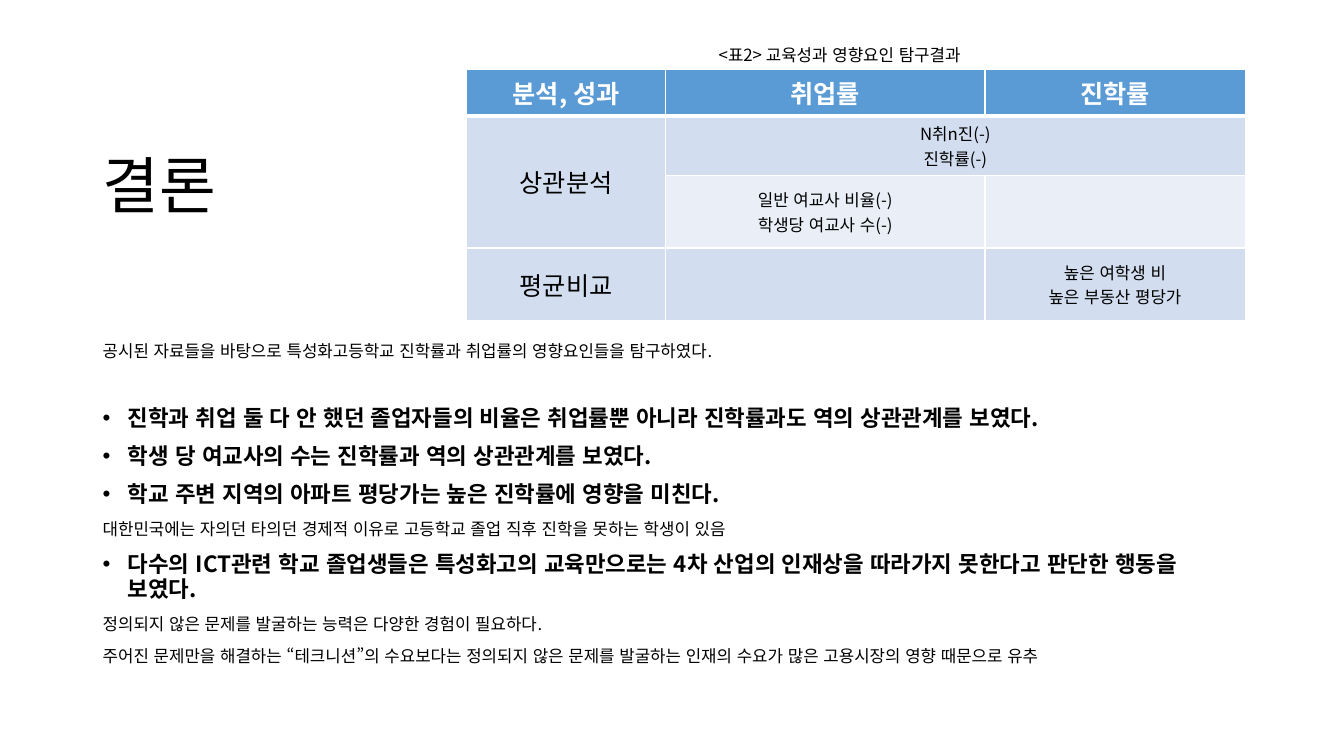
import pptx
import pptx.dml.color
import pptx.enum.lang
import pptx.enum.text
import pptx.oxml.ns
import pptx.util
from lxml import etree

Inches = pptx.util.Inches
Pt = pptx.util.Pt
RGBColor = pptx.dml.color.RGBColor
ALIGN = pptx.enum.text.PP_ALIGN
ANCHOR = pptx.enum.text.MSO_ANCHOR
KOREAN = pptx.enum.lang.MSO_LANGUAGE_ID.KOREAN
qn = pptx.oxml.ns.qn

FONT = "Noto Sans CJK KR"
BLACK = RGBColor(0x00, 0x00, 0x00)
WHITE = RGBColor(0xFF, 0xFF, 0xFF)
HEADER = RGBColor(0x5B, 0x9B, 0xD5)
BAND = RGBColor(0xD2, 0xDE, 0xEF)
PALE = RGBColor(0xEA, 0xEF, 0xF7)

COLUMNS = [1.97, 3.17, 2.58]
ROWS = [0.46, 0.59, 0.72, 0.72]
HEADINGS = ["분석, 성과", "취업률", "진학률"]
# (row, column): lines, size
FINDINGS = {
    (1, 0): (["상관분석"], 18),
    (1, 1): (["N취n진(-)", "진학률(-)"], 12),
    (2, 1): (["일반 여교사 비율(-)", "학생당 여교사 수(-)"], 12),
    (3, 0): (["평균비교"], 18),
    (3, 2): (["높은 여학생 비", "높은 부동산 평당가"], 12),
}
# text, is a bulleted key point, space before
CONCLUSIONS = [
    ("공시된 자료들을 바탕으로 특성화고등학교 진학률과 취업률의 영향요인들을 탐구하였다.", False, 10),
    ("진학과 취업 둘 다 안 했던 졸업자들의 비율은 취업률뿐 아니라 진학률과도 역의 상관관계를 보였다.", True, 33),
    ("학생 당 여교사의 수는 진학률과 역의 상관관계를 보였다.", True, 10),
    ("학교 주변 지역의 아파트 평당가는 높은 진학률에 영향을 미친다.", True, 10),
    ("대한민국에는 자의던 타의던 경제적 이유로 고등학교 졸업 직후 진학을 못하는 학생이 있음", False, 10),
    ("다수의 ICT관련 학교 졸업생들은 특성화고의 교육만으로는 4차 산업의 인재상을 따라가지 못한다고 "
     "판단한 행동을 보였다.", True, 10),
    ("정의되지 않은 문제를 발굴하는 능력은 다양한 경험이 필요하다.", False, 10),
    ("주어진 문제만을 해결하는 “테크니션”의 수요보다는 정의되지 않은 문제를 발굴하는 인재의 수요가 "
     "많은 고용시장의 영향 때문으로 유추", False, 10),
]


def write(p, text, size=12, bold=False, color=BLACK, align=ALIGN.LEFT,
          line=None, before=0, bullet=False):
    p.alignment = align
    p.line_spacing = line
    p.space_before = Pt(before)
    r = p.add_run()
    r.text = text
    r.font.size = Pt(size)
    r.font.bold = bold
    r.font.color.rgb = color
    r.font.name = FONT
    r.font.language_id = KOREAN
    etree.SubElement(r._r.get_or_add_rPr(), qn("a:ea")).set("typeface", FONT)
    if bullet:
        pPr = p._p.get_or_add_pPr()
        pPr.set("marL", str(Inches(0.25)))
        pPr.set("indent", str(-Inches(0.25)))
        etree.SubElement(pPr, qn("a:buFont")).set("typeface", "Arial")
        etree.SubElement(pPr, qn("a:buChar")).set("char", "•")


def next_paragraph(tf, index):
    return tf.paragraphs[0] if index == 0 else tf.add_paragraph()


def add_text_frame(slide, left, top, width, height, anchor=ANCHOR.TOP):
    box = slide.shapes.add_textbox(Inches(left), Inches(top), Inches(width), Inches(height))
    tf = box.text_frame
    tf.word_wrap = True
    tf.vertical_anchor = anchor
    return tf


def style_cell(cell, fill, top=1, bottom=1):
    """Fill the cell and give it white borders of the given widths in points."""
    tcPr = cell._tc.get_or_add_tcPr()
    for side, width in (("L", 1), ("R", 1), ("T", top), ("B", bottom)):
        ln = etree.SubElement(tcPr, qn(f"a:ln{side}"), w=str(Pt(width)))
        solid = etree.SubElement(ln, qn("a:solidFill"))
        etree.SubElement(solid, qn("a:srgbClr"), val=str(WHITE))
    cell.fill.solid()
    cell.fill.fore_color.rgb = fill
    cell.vertical_anchor = ANCHOR.MIDDLE


def add_findings_table(slide):
    frame = slide.shapes.add_table(len(ROWS), len(COLUMNS), Inches(4.63), Inches(0.69),
                                   Inches(sum(COLUMNS)), Inches(sum(ROWS)))
    table = frame.table
    for column, width in zip(table.columns, COLUMNS):
        column.width = Inches(width)
    for row, height in zip(table.rows, ROWS):
        row.height = Inches(height)
    for c, heading in enumerate(HEADINGS):
        cell = table.cell(0, c)
        style_cell(cell, HEADER, bottom=3)
        write(cell.text_frame.paragraphs[0], heading, size=18, bold=True,
              color=WHITE, align=ALIGN.CENTER)
    for r in range(1, len(ROWS)):
        for c in range(len(COLUMNS)):
            cell = table.cell(r, c)
            style_cell(cell, PALE if r == 2 and c > 0 else BAND, top=3 if r == 1 else 1)
            lines, size = FINDINGS.get((r, c), ([], 12))
            for i, text in enumerate(lines):
                write(next_paragraph(cell.text_frame, i), text, size=size, align=ALIGN.CENTER)
    table.cell(1, 0).merge(table.cell(2, 0))
    table.cell(1, 1).merge(table.cell(1, 2))


def add_conclusions(slide):
    tf = add_text_frame(slide, 0.92, 3.35, 11.5, 3.3)
    for i, (text, key, before) in enumerate(CONCLUSIONS):
        write(next_paragraph(tf, i), text, size=16 if key else 12, bold=key,
              line=0.9, before=before, bullet=key)


def main():
    prs = pptx.Presentation()
    prs.slide_width = Inches(13.33)
    prs.slide_height = Inches(7.5)
    slide = prs.slides.add_slide(prs.slide_layouts[6])

    title = add_text_frame(slide, 0.92, 1.15, 11.5, 1.45, ANCHOR.MIDDLE)
    write(title.paragraphs[0], "결론", size=44, line=0.9)
    add_conclusions(slide)
    add_findings_table(slide)
    caption = add_text_frame(slide, 7.03, 0.39, 2.93, 0.3)
    write(caption.paragraphs[0], "<표2> 교육성과 영향요인 탐구결과")

    prs.save("out.pptx")


if __name__ == "__main__":
    main()
